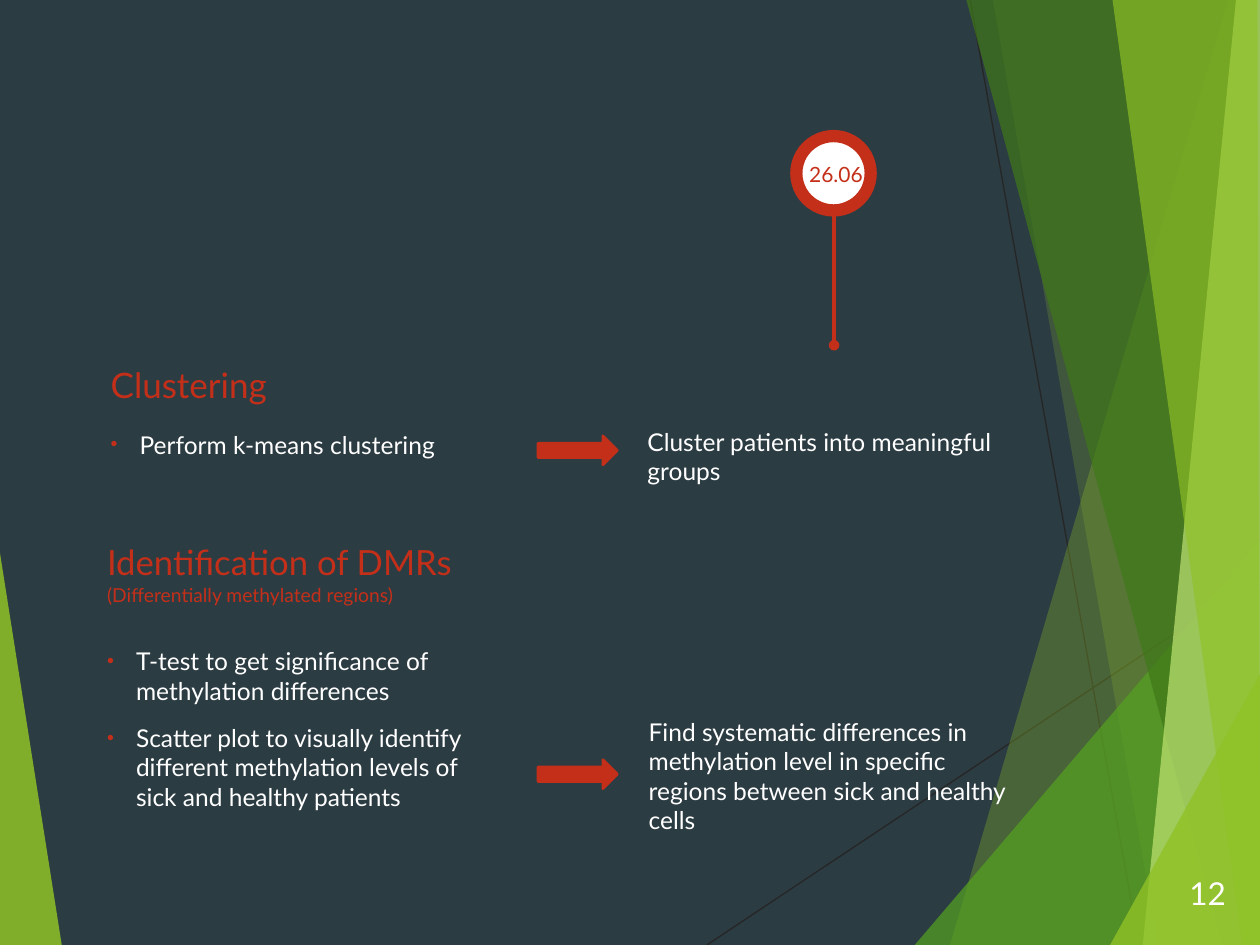
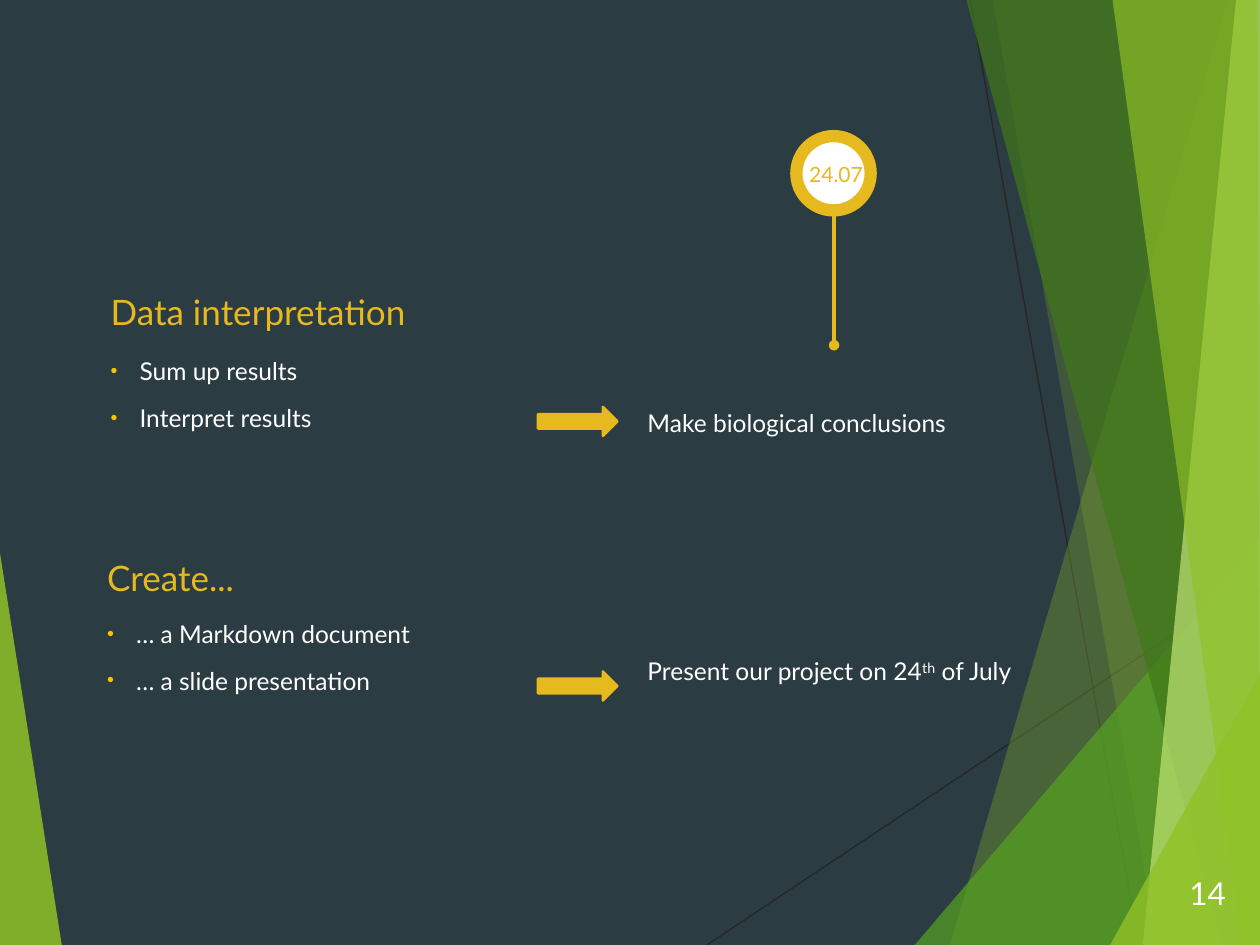
import pptx
import pptx.util
import pptx.dml.color
import pptx.enum.shapes
import pptx.enum.text
import pptx.oxml.ns
import lxml.etree

qn = pptx.oxml.ns.qn
sub = lxml.etree.SubElement
Pt = pptx.util.Pt
SHAPE = pptx.enum.shapes.MSO_SHAPE
ANCHOR = pptx.enum.text.MSO_ANCHOR
CENTER = pptx.enum.text.PP_ALIGN.CENTER

# Grid: 100 columns by 75 rows of square cells
U = pptx.util.Inches(0.1)
COLS, ROWS = 100, 75
LEFT, ARROW, RIGHT, PIN = 7.8, 42.7, 50.4, 66.2
TEXT_W = 31.6
WIDE, TIGHT = (1, 0.5), (0.7, 0.4)  # text insets

FONT, WHITE, DARK, GREY = "Lato", "FFFFFF", "2C3C43", "262626"
LIME = "90C226"

# Background lines and translucent facets: (colour, opacity in %, corners)
RAYS = [(56.1, 75, 100.1, 45.7), (77, 0, 90.4, 75)]
FACETS = [
    (LIME, 85, [(0, 43.9), (4.9, 75), (0, 75)]),
    (LIME, 30, [(97.5, 0), (75.4, 75), (100, 75), (100, 0)]),
    (LIME, 20, [(78.8, 0), (91.9, 75), (100, 75), (100, 0)]),
    ("54A021", 72, [(72.6, 75), (100, 42.9), (100, 75)]),
    ("3F7819", 70, [(76.7, 0), (97, 75), (100, 75), (100, 0)]),
    ("C0E474", 70, [(98.1, 0), (90.7, 75), (100, 75), (100, 0)]),
    (LIME, 65, [(88.3, 0), (98.6, 75), (100, 75), (99.8, 0)]),
    (LIME, 80, [(88.1, 75), (100, 53.5), (100, 75)]),
]

# Each section: heading (top, height, runs), bullets (top, height, lines),
# arrow top, outcome (left, top, height, runs)
SLIDES = [
    dict(number="12", date="26.06.", accent="C42F19", bullet="C42F19", sections=[
        dict(heading=(28.2, 4.5, [("Clustering", 20)]),
             bullets=(33.6, 7.5, ["Perform k-means clustering"]),
             arrow=34.6,
             outcome=(RIGHT, 33.4, 8, [("Cluster patients into meaningful groups", 14)])),
        dict(heading=(43.4, 5.1, [("Identification of DMRs ", 19.8),
                                  ("(Differentially methylated regions)", 11)]),
             bullets=(50.9, 21.2, [
                 "T-test to get significance of methylation differences",
                 "Scatter plot to visually identify different methylation "
                 "levels of sick and healthy patients"]),
             arrow=60.3,
             outcome=(RIGHT + 0.1, 56.4, 10.4, [
                 ("Find systematic differences in methylation level in specific "
                  "regions between sick and healthy cells", 14)])),
    ]),
    dict(number="14", date="24.07.", accent="E6B91E", bullet="FFC001", sections=[
        dict(heading=(22.4, 4.5, [("Data interpretation", 20)]),
             bullets=(27.8, 13.2, ["Sum up results", "Interpret results"]),
             arrow=32.3,
             outcome=(RIGHT, 31.9, 5.6, [("Make biological conclusions", 14)])),
        dict(heading=(43.4, 4.5, [("Create...", 20)]),
             bullets=(48.7, 9.8, ["… a Markdown document", "… a slide presentation"]),
             arrow=53.3,
             outcome=(RIGHT, 51.6, 5.7, [("Present our project on 24", 14),
                                         ("th", 14, 30), (" of July", 14)])),
    ]),
]


def paint(fill, color):
    fill.solid()
    fill.fore_color.rgb = pptx.dml.color.RGBColor.from_string(color)


def write(s, at, paragraphs, color, inset=WIDE, anchor=ANCHOR.TOP, bullet=None):
    """Paragraphs are lists of runs: (text, size) or (text, size, baseline %)."""
    tf = s.shapes.add_textbox(*[round(v * U) for v in at]).text_frame
    tf.word_wrap = True
    tf.vertical_anchor = anchor
    tf.margin_left = tf.margin_right = round(inset[0] * U)
    tf.margin_top = tf.margin_bottom = round(inset[1] * U)
    for i, runs in enumerate(paragraphs):
        p = tf.paragraphs[0] if i == 0 else tf.add_paragraph()
        for text, size, *base in runs:
            r = p.add_run()
            r.text = text
            r.font.size = Pt(size)
            r.font.name = FONT
            paint(r.font.fill, color)
            if base:
                r._r.get_or_add_rPr().set("baseline", str(base[0] * 1000))
        if bullet:
            p.space_before = Pt(10)
            pPr = p._p.get_or_add_pPr()
            pPr.set("marL", str(round(2.3 * U)))
            pPr.set("indent", str(round(-2.3 * U)))
            sub(sub(pPr, qn("a:buClr")), qn("a:srgbClr"), val=bullet)
            sub(pPr, qn("a:buSzPct"), val="80000")
            sub(pPr, qn("a:buFont"), typeface="Arial")
            sub(pPr, qn("a:buChar"), char="•")
    return tf


prs = pptx.Presentation()
prs.slide_width, prs.slide_height = COLS * U, ROWS * U

for page in SLIDES:
    s = prs.slides.add_slide(prs.slide_layouts[6])
    accent = page["accent"]
    paint(s.background.fill, DARK)

    # Thin rays, then the pin's stem
    stem = (PIN, 17.1, PIN, 27.4)
    for ends, color, width in [(ray, GREY, 0.75) for ray in RAYS] + [(stem, accent, 2)]:
        line = s.shapes.add_connector(pptx.enum.shapes.MSO_CONNECTOR.STRAIGHT,
                                      *[round(v * U) for v in ends])
        paint(line.line.fill, color)
        line.line.width = Pt(width)
        if ends == stem:
            sub(line.line._get_or_add_ln(), qn("a:tailEnd"), type="oval")
        sub(line._element.spPr, qn("a:effectLst"))

    # Green facets
    for color, opacity, corners in FACETS:
        points = [(round(x * U), round(y * U)) for x, y in corners]
        outline = s.shapes.build_freeform(*points[0])
        outline.add_line_segments(points[1:])
        sp = outline.convert_to_shape()
        sp.shadow.inherit = False
        sp.line.fill.background()
        paint(sp.fill, color)
        sub(sp._element.spPr.find(qn("a:solidFill"))[0], qn("a:alpha"),
            val=str(opacity * 1000))

    # Date pin and section arrows
    marks = [(SHAPE.OVAL, (PIN - 3, 10.8, 5.9, 5.9), WHITE, 7)]
    marks += [(SHAPE.RIGHT_ARROW, (ARROW, part["arrow"], 6.3, 2.3), accent, 1.5)
              for part in page["sections"]]
    for kind, at, color, width in marks:
        sp = s.shapes.add_shape(kind, *[round(v * U) for v in at])
        sp.shadow.inherit = False
        paint(sp.fill, color)
        paint(sp.line.fill, accent)
        sp.line.width = Pt(width)
    tf = write(s, (PIN - 3, 12.3, 6.3, 3), [[(page["date"], 12)]], accent)
    tf.word_wrap = False
    tf.paragraphs[0].alignment = CENTER

    # Sections: heading, bullets, outcome
    for part, inset in zip(page["sections"], (WIDE, TIGHT)):
        top, height, runs = part["heading"]
        write(s, (LEFT, top, TEXT_W, height), [runs], accent, inset, ANCHOR.BOTTOM)
        top, height, lines = part["bullets"]
        write(s, (LEFT, top, TEXT_W, height), [[(text, 14)] for text in lines],
              WHITE, inset, bullet=page["bullet"])
        left, top, height, runs = part["outcome"]
        write(s, (left, top, TEXT_W, height), [runs], WHITE)

    # Slide number
    write(s, (93.4, 68.9, 5.1, 4), [[(page["number"], 18)]], WHITE)

prs.save("out.pptx")
